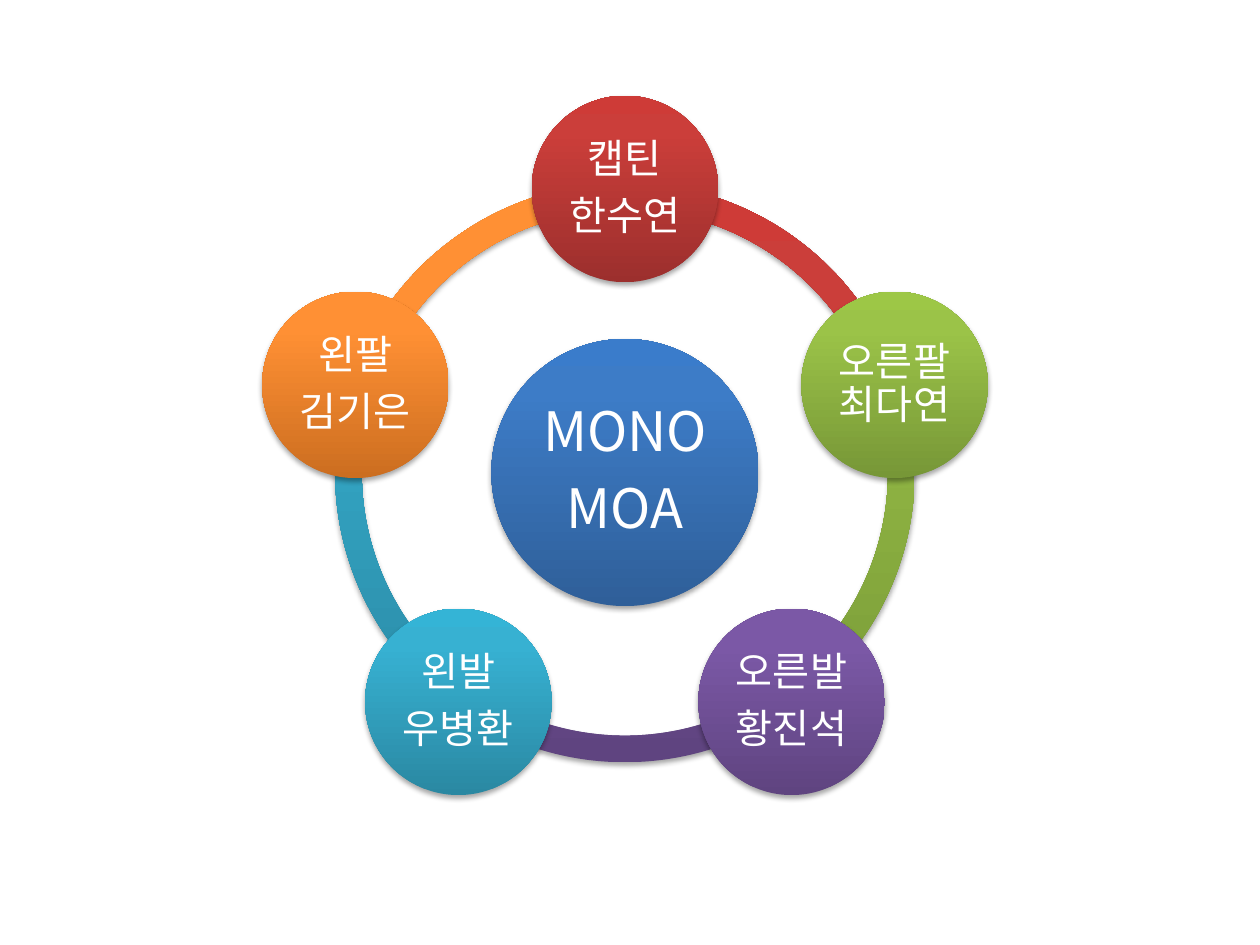
from math import cos, radians, sin

from lxml.etree import SubElement
from pptx import Presentation
from pptx.dml.color import RGBColor
from pptx.enum.shapes import MSO_SHAPE
from pptx.enum.text import MSO_ANCHOR, PP_ALIGN
from pptx.oxml.ns import qn
from pptx.util import Inches, Pt

FONT = "Noto Sans CJK KR"
CENTER_X, CENTER_Y = 4.96, 3.75
RING_SIZE, RING_THICKNESS = 4.6, 0.046
ORBIT, MEMBER_SIZE, HUB_SIZE = 2.25, 1.48, 2.12
HUB = (["MONO", "MOA"], ("2F5F99", "3D7CC7", "3A7CCB"))
MEMBERS = [
    (["캡틴", "한수연"], ("9C2F2D", "CB3E3A", "CE3B37")),
    (["오른팔최다연"], ("779737", "9BC348", "9DC746")),
    (["오른발", "황진석"], ("5F4480", "7B58A6", "7C57A8")),
    (["왼발", "우병환"], ("2A88A2", "37B1D2", "34B4D6")),
    (["왼팔", "김기은"], ("CC6E20", "FF9034", "FF9136")),
]
STEP = 360 / len(MEMBERS)


def add_element(parent, tag, **attributes):
    """Append a drawing element with the given attributes."""
    return SubElement(parent, qn(tag), {key: str(value) for key, value in attributes.items()})


def add_color(parent, color):
    """Append an RGB colour given as a hex string."""
    return add_element(parent, "a:srgbClr", val=color)


def add_round(page, kind, x, y, size, colors):
    """Add a shape centred on a point with a vertical gradient and a soft shadow."""
    shape = page.shapes.add_shape(
        kind, Inches(x - size / 2), Inches(y - size / 2), Inches(size), Inches(size)
    )
    shape.fill.gradient()
    shape.fill.gradient_angle = 90
    shape.line.fill.background()
    shape.shadow.inherit = False
    properties = shape.element.spPr
    stops = properties.find(".//" + qn("a:gsLst"))
    for stop in list(stops):
        stops.remove(stop)
    for position, color in zip((0, 80000, 100000), colors):
        add_color(add_element(stops, "a:gs", pos=position), color)
    shadow = add_element(
        properties.find(qn("a:effectLst")), "a:outerShdw",
        blurRad=Pt(3.1), dist=Pt(1.8), dir=90 * 60000, rotWithShape=0,
    )
    add_element(add_color(shadow, "000000"), "a:alpha", val=35000)
    return shape


def add_circle(page, x, y, size, lines, colors, points, inset):
    """Add a labelled circle centred on a point."""
    circle = add_round(page, MSO_SHAPE.OVAL, x, y, size, colors)
    frame = circle.text_frame
    frame.word_wrap = True
    frame.vertical_anchor = MSO_ANCHOR.MIDDLE
    frame.margin_left = frame.margin_right = Inches(inset)
    frame.margin_top = frame.margin_bottom = Inches(inset)
    frame.text = "\n".join(lines)
    for para in frame.paragraphs:
        para.alignment = PP_ALIGN.CENTER
        para.line_spacing = 0.9
        para.space_after = Pt(points * 0.35)
        for span in para.runs:
            span.font.size = Pt(points)
            span.font.name = FONT
            span.font.color.rgb = RGBColor.from_string("FFFFFF")
            add_element(span.font._element, "a:ea", typeface=FONT)


def main():
    """Build the team wheel slide."""
    deck = Presentation()
    deck.slide_width, deck.slide_height = Inches(10), Inches(7.5)
    page = deck.slides.add_slide(deck.slide_layouts[6])
    angles = [(270 + index * STEP) % 360 for index in range(len(MEMBERS))]

    for angle, (lines, colors) in reversed(list(zip(angles, MEMBERS))):
        arc = add_round(page, MSO_SHAPE.BLOCK_ARC, CENTER_X, CENTER_Y, RING_SIZE, colors)
        ends = (angle, (angle + STEP) % 360)
        arc.adjustments[0], arc.adjustments[1] = [end * 0.6 for end in ends]
        arc.adjustments[2] = RING_THICKNESS

    add_circle(page, CENTER_X, CENTER_Y, HUB_SIZE, *HUB, 31, 0.04)
    for angle, (lines, colors) in zip(angles, MEMBERS):
        x = CENTER_X + ORBIT * cos(radians(angle))
        y = CENTER_Y + ORBIT * sin(radians(angle))
        add_circle(page, x, y, MEMBER_SIZE, lines, colors, 23, 0.03)

    deck.save("out.pptx")


if __name__ == "__main__":
    main()
